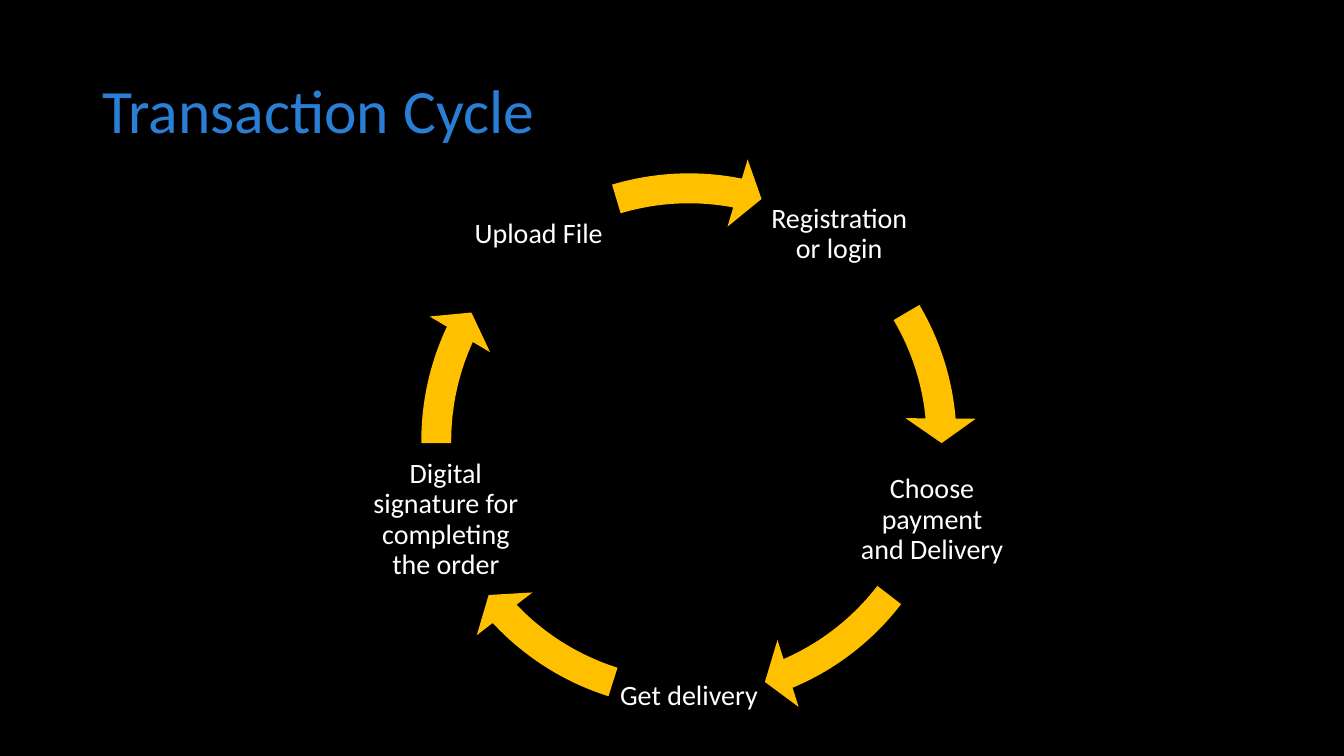
import math
import pptx
import pptx.dml.color
import pptx.enum.shapes
import pptx.enum.text
import pptx.util

COLUMNS, ROWS = 160, 90
ALIGN = pptx.enum.text.PP_ALIGN
MIDDLE = pptx.enum.text.MSO_ANCHOR.MIDDLE


def color(code):
    return pptx.dml.color.RGBColor.from_string(code)


def apply(target, values):
    for name, value in values.items():
        setattr(target, name, value)


class CycleSlide:
    font = "Calibri"
    background = "000000"
    heading = "297FD5"
    body = "FFFFFF"
    accent = "FFC000"

    def __init__(self, deck):
        self.column = deck.slide_width / COLUMNS
        self.row = deck.slide_height / ROWS
        self.slide = deck.slides.add_slide(deck.slide_layouts[6])
        fill = self.slide.background.fill
        fill.solid()
        fill.fore_color.rgb = color(self.background)

    def place(self, left, top, width, height):
        return (round(left * self.column), round(top * self.row),
                round(width * self.column), round(height * self.row))

    def text(self, wording, box, size, shade, align, frame_format):
        frame = self.slide.shapes.add_textbox(*self.place(*box)).text_frame
        apply(frame, {"word_wrap": True, "vertical_anchor": MIDDLE, **frame_format})
        paragraph = frame.paragraphs[0]
        apply(paragraph, {"text": wording, "alignment": align, "line_spacing": 0.9})
        apply(paragraph.runs[0].font, {"name": self.font, "size": pptx.util.Pt(size)})
        paragraph.runs[0].font.color.rgb = color(shade)

    def title(self, wording, box):
        self.text(wording, box, 44, self.heading, ALIGN.LEFT, {})

    def step(self, wording, box):
        inset = pptx.util.Inches(0.03)
        sides = ("left", "top", "right", "bottom")
        margins = {f"margin_{side}": inset for side in sides}
        self.text(wording, box, 20, self.body, ALIGN.CENTER, margins)

    def arrow(self, box, head, tail):
        arc = self.slide.shapes.add_shape(
            pptx.enum.shapes.MSO_SHAPE.CIRCULAR_ARROW, *self.place(*box))
        for index, value in enumerate((0.052, 3.359, head, tail, 0.061)):
            arc.adjustments[index] = value
        arc.shadow.inherit = False
        arc.fill.solid()
        arc.fill.fore_color.rgb = color(self.accent)
        arc.line.fill.background()


def centred_box(x, y, side):
    return x - side / 2, y - side / 2, side, side


deck = pptx.Presentation()
apply(deck, {"slide_width": pptx.util.Inches(13.333), "slide_height": pptx.util.Inches(7.5)})

cycle = CycleSlide(deck)
cycle.title("Transaction Cycle", (11, 4.8, 138, 17.4))

CENTER_X, CENTER_Y, RADIUS = 82.02, 52.5, 30.43
STEP_SIDE, RING_SIDE = 18.24, 68.52
FIRST_ANGLE = -54
STAGES = (
    ("Registration or login", 212.931, 197.663),
    ("Choose payment and Delivery", 40.146, 22.535),
    ("Get delivery", 82.105, 64.495),
    ("Digital signature for completing the order", 122.977, 107.709),
    ("Upload File", 168.656, 151.985),
)

for position, (stage, head, tail) in enumerate(STAGES):
    angle = math.radians(FIRST_ANGLE + position * 360 / len(STAGES))
    x = CENTER_X + RADIUS * math.cos(angle)
    y = CENTER_Y + RADIUS * math.sin(angle)
    cycle.step(stage, centred_box(x, y, STEP_SIDE))
    cycle.arrow(centred_box(CENTER_X, CENTER_Y, RING_SIDE), head, tail)

deck.save("out.pptx")
